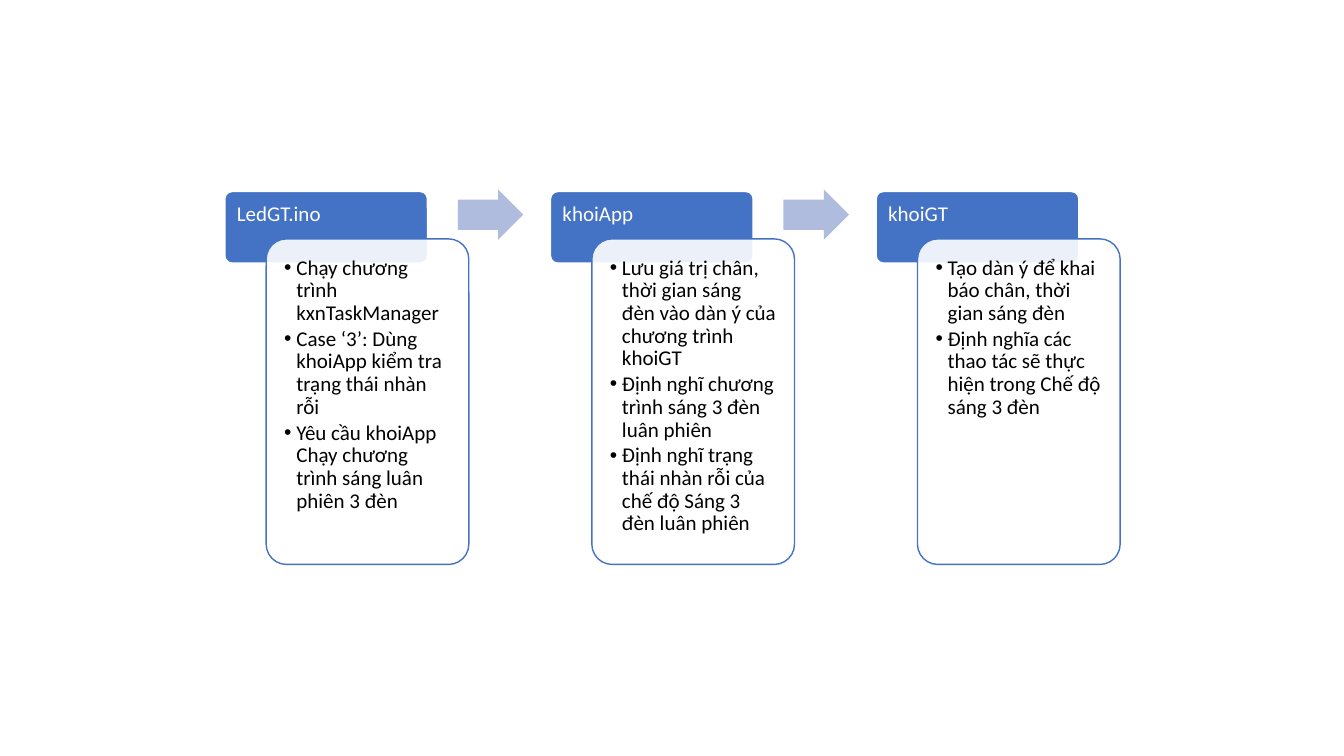
from lxml.etree import SubElement
from pptx import Presentation
from pptx.dml.color import RGBColor
from pptx.enum.shapes import MSO_SHAPE
from pptx.enum.text import MSO_ANCHOR, PP_ALIGN
from pptx.oxml.ns import qn
from pptx.util import Inches, Pt

COLORS = {"blue": "4472C4", "arrow": "B0BCDE", "white": "FFFFFF", "black": "000000"}

STEPS = [
    ("LedGT.ino", [
        "Chạy chương trình kxnTaskManager",
        "Case ‘3’: Dùng khoiApp kiểm tra trạng thái nhàn rỗi",
        "Yêu cầu khoiApp Chạy chương trình sáng luân phiên 3 đèn",
    ]),
    ("khoiApp", [
        "Lưu giá trị chân, thời gian sáng đèn vào dàn ý của chương trình khoiGT",
        "Định nghĩ chương trình sáng 3 đèn luân phiên",
        "Định nghĩ trạng thái nhàn rỗi của chế độ Sáng 3 đèn luân phiên",
    ]),
    ("khoiGT", [
        "Tạo dàn ý để khai báo chân, thời gian sáng đèn",
        "Định nghĩa các thao tác sẽ thực hiện trong Chế độ sáng 3 đèn",
    ]),
]

presentation = Presentation()
presentation.slide_width = Inches(13.33)
presentation.slide_height = Inches(7.5)
slide = presentation.slides.add_slide(presentation.slide_layouts[6])


def add_block(kind, left, top, width, height, adjustments, fill, line=None):
    block = slide.shapes.add_shape(
        kind, Inches(left), Inches(top), Inches(width), Inches(height))
    block.shadow.inherit = False
    for index, value in enumerate(adjustments):
        block.adjustments[index] = value
    block.fill.solid()
    block.fill.fore_color.rgb = RGBColor.from_string(COLORS[fill])
    if line:
        block.line.color.rgb = RGBColor.from_string(COLORS[line])
        block.line.width = Pt(1)
    else:
        block.line.fill.background()
    return block


def write_text(block, lines, color, inset, bullet=False, space_after=0):
    frame = block.text_frame
    frame.word_wrap = True
    frame.vertical_anchor = MSO_ANCHOR.TOP
    frame.margin_left = frame.margin_right = Inches(inset)
    frame.margin_top = frame.margin_bottom = Inches(inset)
    for index, line in enumerate(lines):
        paragraph = frame.paragraphs[0] if index == 0 else frame.add_paragraph()
        paragraph.alignment = PP_ALIGN.LEFT
        paragraph.line_spacing = 0.9
        paragraph.space_after = Pt(space_after)
        if bullet:
            paragraph.level = 1
            properties = paragraph._p.get_or_add_pPr()
            properties.set("marL", str(Inches(0.12)))
            properties.set("indent", str(-Inches(0.12)))
            SubElement(properties, qn("a:buFont"), typeface="Arial")
            SubElement(properties, qn("a:buChar"), char="•")
        run = paragraph.add_run()
        run.text = line
        run.font.name = "Calibri"
        run.font.size = Pt(15)
        run.font.color.rgb = RGBColor.from_string(COLORS[color])


for position, (title, details) in enumerate(STEPS):
    left = 2.23 + 3.23 * position

    header = add_block(MSO_SHAPE.ROUNDED_RECTANGLE, left, 1.9, 2.01, 0.71,
                       [0.1], "blue", "white")
    write_text(header, [title], "white", 0.1)

    card = add_block(MSO_SHAPE.ROUNDED_RECTANGLE, left + 0.41, 2.37, 2.01, 3.23,
                     [0.1], "white", "blue")
    card_color = card.fill._xPr.find(qn("a:solidFill"))[0]
    SubElement(card_color, qn("a:alpha"), val="90000")
    write_text(card, details, "black", 0.12, bullet=True, space_after=2.25)

    if position < len(STEPS) - 1:
        add_block(MSO_SHAPE.RIGHT_ARROW, left + 2.31, 1.88, 0.65, 0.5,
                  [0.6, 0.5], "arrow")

presentation.save("out.pptx")
